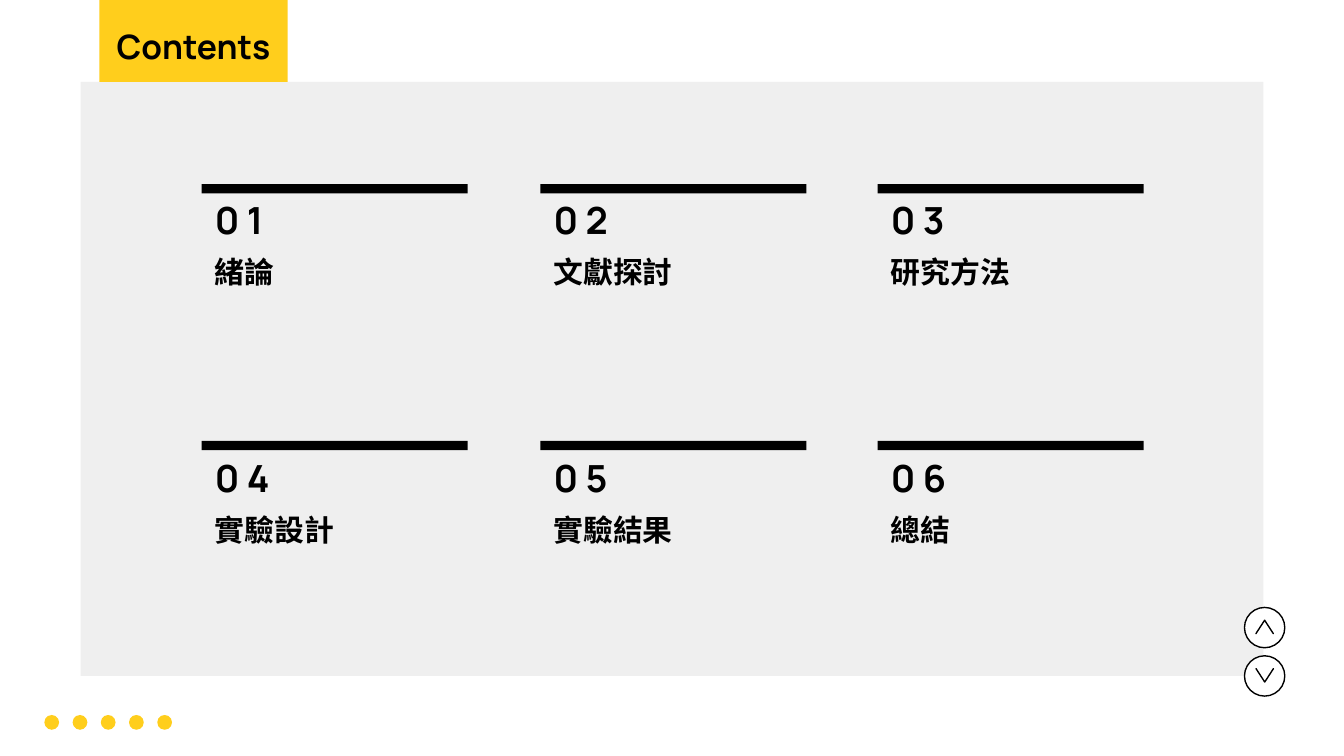
from dataclasses import dataclass
from typing import Optional

from lxml.etree import SubElement
from pptx import Presentation
from pptx.dml.color import RGBColor
from pptx.enum.shapes import MSO_SHAPE as Kind
from pptx.enum.text import MSO_ANCHOR as Anchor, MSO_AUTO_SIZE as Fit, PP_ALIGN as Align
from pptx.oxml.ns import qn
from pptx.util import Inches, Pt

BLACK = RGBColor(0, 0, 0)
WHITE = RGBColor(0xFF, 0xFF, 0xFF)
GREY = RGBColor(0xEF, 0xEF, 0xEF)
YELLOW = RGBColor(0xFF, 0xCE, 0x1C)
LATIN = "Manrope"
HAN = "Noto Sans CJK TC"


@dataclass(frozen=True)
class Box:
    left: float
    top: float
    width: float
    height: float

    def inches(self) -> tuple:
        return tuple(map(Inches, (self.left, self.top, self.width, self.height)))


@dataclass(frozen=True)
class Style:
    font: str
    size: int
    anchor: Anchor = Anchor.TOP
    align: Align = Align.LEFT


@dataclass(frozen=True)
class Button:
    top: float
    turn: int


NUMBER = Style(LATIN, 20, Anchor.BOTTOM)
TOPIC = Style(HAN, 16)
HEAD = Style(LATIN, 18, Anchor.MIDDLE, Align.CENTER)
TOPICS = ("緒論", "文獻探討", "研究方法", "實驗設計", "實驗結果", "總結")
COLUMNS = (1.5, 4.02, 6.53)
BUTTONS = (Button(4.88, 90), Button(4.52, 270))


def draw(slide, kind: Kind, box: Box, fill: RGBColor, line: Optional[RGBColor] = None):
    shape = slide.shapes.add_shape(kind, *box.inches())
    shape.shadow.inherit = False
    shape.fill.solid()
    shape.fill.fore_color.rgb = fill
    if line is None:
        shape.line.fill.background()
    else:
        shape.line.color.rgb = line
        shape.line.width = Pt(0.75)
    return shape


def write(shape, text: str, style: Style) -> None:
    frame = shape.text_frame
    frame.text = text
    frame.word_wrap = True
    frame.auto_size = Fit.NONE
    frame.vertical_anchor = style.anchor
    frame.margin_left = frame.margin_right = Inches(0.1)
    frame.margin_top = frame.margin_bottom = Inches(0.1)
    para = frame.paragraphs[0]
    para.alignment = style.align
    font = para.font
    font.size = Pt(style.size)
    font.bold = True
    font.color.rgb = BLACK
    font.name = style.font
    # East Asian text takes its typeface from a:ea
    props = para._p.pPr.find(qn("a:defRPr"))
    SubElement(props, qn("a:ea")).set("typeface", style.font)


def add_topic(slide, index: int, name: str) -> None:
    row, col = divmod(index, len(COLUMNS))
    left, top = COLUMNS[col], 1.37 + 1.92 * row
    draw(slide, Kind.RECTANGLE, Box(left, 1.37 + 1.91 * row, 1.98, 0.07), BLACK)
    number = slide.shapes.add_textbox(*Box(left, top, 1.98, 0.53).inches())
    write(number, f"0 {index + 1}", NUMBER)
    label = slide.shapes.add_textbox(*Box(left, top + 0.42, 1.98, 0.96).inches())
    write(label, name, TOPIC)


def add_button(slide, button: Button) -> None:
    disc = Box(9.26, button.top, 0.3, 0.3)
    ring = draw(slide, Kind.ROUNDED_RECTANGLE, disc, WHITE, BLACK)
    ring.adjustments[0] = 0.5
    mark = Box(9.36, button.top + 0.08, 0.1, 0.13)
    arrow = draw(slide, Kind.CHEVRON, mark, BLACK, BLACK)
    arrow.adjustments[0] = 1
    arrow.rotation = button.turn


def add_title(slide) -> None:
    draw(slide, Kind.RECTANGLE, Box(0.74, 0, 1.4, 0.61), YELLOW)
    title = slide.shapes.title
    title.left, title.top, title.width, title.height = Box(0.74, 0.26, 1.4, 0.17).inches()
    write(title, "Contents", HEAD)
    slide.shapes._spTree.append(title._element)  # bring above the tab


def main() -> None:
    deck = Presentation()
    deck.slide_width = Inches(10)
    deck.slide_height = deck.slide_width * 9 // 16
    slide = deck.slides.add_slide(deck.slide_layouts[5])
    draw(slide, Kind.RECTANGLE, Box(0.6, 0.61, 8.8, 4.42), GREY)
    for step in range(5):
        draw(slide, Kind.OVAL, Box(0.33 + 0.21 * step, 5.32, 0.11, 0.11), YELLOW)
    add_title(slide)
    for index, name in enumerate(TOPICS):
        add_topic(slide, index, name)
    for button in BUTTONS:
        add_button(slide, button)
    deck.save("out.pptx")


if __name__ == "__main__":
    main()
